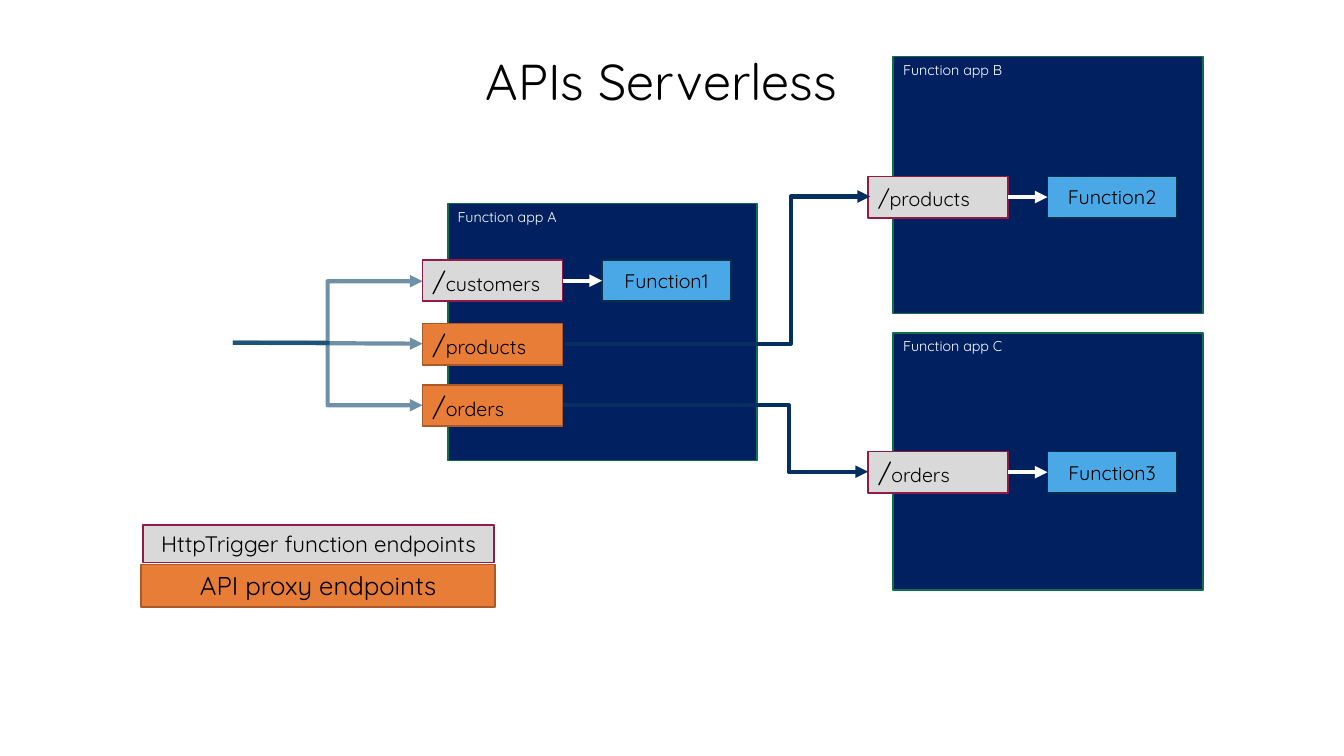
import pptx
import pptx.util
import pptx.dml.color
import pptx.enum.shapes
import pptx.enum.text
import pptx.oxml
import pptx.oxml.ns
from lxml import etree

TITLE = "APIs Serverless"
APPS = {
    "A": (4.44, 2.02),
    "B": (8.86, 0.56),
    "C": (8.86, 3.3),
}
ROUTES = [
    ("A", 2.58, "http", 18.4, "customers", "Function1"),
    ("A", 3.21, "proxy", 18.4, "products", None),
    ("A", 3.82, "proxy", 18.4, "orders", None),
    ("B", 1.75, "http", 16, "products", "Function2"),
    ("C", 4.48, "http", 18.4, "orders", "Function3"),
]
LEGEND = [
    ("proxy", "API proxy endpoints", (1.4, 5.6, 3.51, 0.42), 18.4, True),
    ("http", "HttpTrigger function endpoints", (1.42, 5.21, 3.48, 0.37), 16, False),
]
FORWARDS = [
    ((5.6, 3.41), (8.63, 1.95)),
    ((5.58, 4.02), (8.61, 4.68)),
]
SOURCE = (2.31, 3.4)
CALLS = [4.02, 2.79, 3.41]

COLORS = {
    "black": "000000", "white": "FFFFFF",
    "app": "002060", "app edge": "0F6F4C",
    "http": "D9D9D9", "http edge": "921A46",
    "proxy": "E87D37", "proxy edge": "AC5929",
    "task": "4AA8E7", "task edge": "043148",
    "forward": "052F61", "call": "0F496F",
}
FONT = "Quicksand"
APP_SIZE = (3.07, 2.55)
PATH_WIDTH, TASK_WIDTH, ROW = 1.39, 1.28, 0.41
PATH_SHIFT, TASK_SHIFT = -0.25, 1.53

Inches = pptx.util.Inches
Pt = pptx.util.Pt
Align = pptx.enum.text.PP_ALIGN
Anchor = pptx.enum.text.MSO_ANCHOR
Fit = pptx.enum.text.MSO_AUTO_SIZE
Link = pptx.enum.shapes.MSO_CONNECTOR
qn = pptx.oxml.ns.qn

deck = pptx.Presentation()
deck.slide_width, deck.slide_height = Inches(13.33), Inches(7.5)
slide = deck.slides.add_slide(deck.slide_layouts[6])


def color(name):
    return pptx.dml.color.RGBColor.from_string(COLORS[name])


def write(shape, parts, ink="black", align=Align.LEFT, anchor=Anchor.TOP):
    frame = shape.text_frame
    frame.word_wrap = True
    frame.vertical_anchor = anchor
    para = frame.paragraphs[0]
    para.alignment = align
    for text, size in parts:
        run = para.add_run()
        run.text = text
        run.font.name = FONT
        run.font.size = Pt(size)
        run.font.color.rgb = color(ink)


def box(kind, area, parts, **style):
    shape = slide.shapes.add_shape(
        pptx.enum.shapes.MSO_SHAPE.RECTANGLE, *map(Inches, area))
    shape.shadow.inherit = False
    shape.fill.solid()
    shape.fill.fore_color.rgb = color(kind)
    shape.line.color.rgb = color(kind + " edge")
    shape.line.width = Pt(1.25)
    write(shape, parts, **style)
    return shape


def arrow(start, end, ink, bend=None, alpha=None):
    kind = Link.STRAIGHT if bend is None else Link.ELBOW
    wire = slide.shapes.add_connector(kind, *map(Inches, start + end))
    wire.line.color.rgb = color(ink)
    wire.line.width = Pt(3)
    line = wire.line._get_or_add_ln()
    if alpha:
        shade = line.find(".//" + qn("a:srgbClr"))
        etree.SubElement(shade, qn("a:alpha"), val=str(alpha * 1000))
    etree.SubElement(line, qn("a:tailEnd"), type="triangle")
    props = wire._element.spPr
    etree.SubElement(props, qn("a:effectLst"))
    if bend is not None:
        guides = props.find(".//" + qn("a:avLst"))
        etree.SubElement(guides, qn("a:gd"), name="adj1",
                         fmla=f"val {round(bend * 100000)}")


title = slide.shapes.add_textbox(*map(Inches, (0.81, 0.45, 11.5, 0.77)))
write(title, [(TITLE, 36)], align=Align.CENTER)

for name, spot in APPS.items():
    box("app", spot + APP_SIZE, [("Function app " + name, 10.2)], ink="white")

for app, top, kind, slash, path, task in ROUTES:
    left = APPS[app][0] + PATH_SHIFT
    box(kind, (left, top, PATH_WIDTH, ROW), [("/", slash), (path, 14)],
        anchor=Anchor.MIDDLE)
    if task:
        goal = APPS[app][0] + TASK_SHIFT
        box("task", (goal, top, TASK_WIDTH, ROW), [(task, 14)],
            align=Align.CENTER, anchor=Anchor.MIDDLE)
        mid = top + ROW / 2
        arrow((left + PATH_WIDTH, mid), (goal, mid), "white")

for kind, text, area, size, wrap in LEGEND:
    label = box(kind, area, [(text, size)], align=Align.CENTER)
    label.text_frame.word_wrap = wrap
    label.text_frame.auto_size = Fit.SHAPE_TO_FIT_TEXT

for start, end in FORWARDS:
    arrow(start, end, "forward", bend=0.74)

for level in CALLS:
    bend = 0.5 if abs(level - SOURCE[1]) > 0.1 else None
    arrow(SOURCE, (4.19, level), "call", bend=bend, alpha=60)

deck.save("out.pptx")
